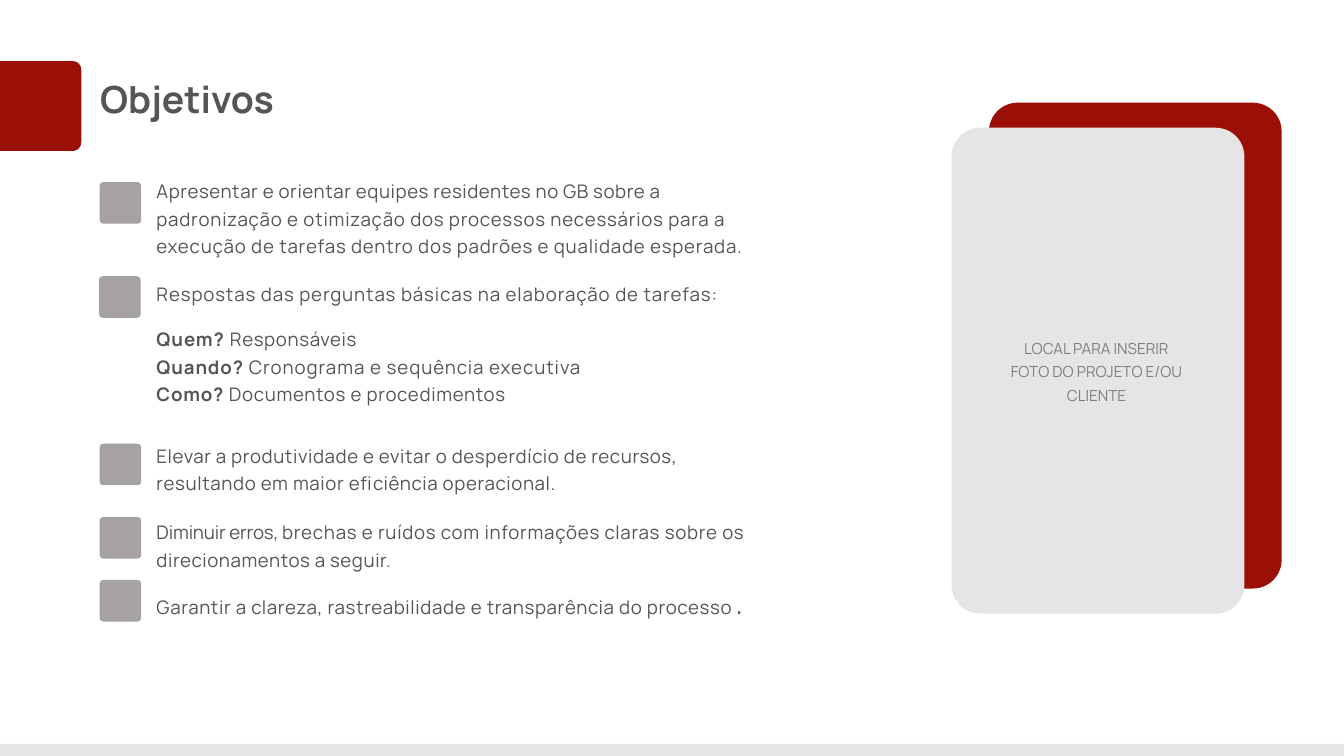
from math import cos, radians, sin

from lxml.etree import SubElement
from pptx import Presentation
from pptx.dml.color import RGBColor
from pptx.enum.shapes import MSO_SHAPE
from pptx.enum.text import MSO_ANCHOR, MSO_AUTO_SIZE, PP_ALIGN
from pptx.oxml.ns import qn
from pptx.util import Pt

PX = 9144
SLIDE_W, SLIDE_H = 2199, 1237
FONT = "Manrope"
COLORS = {"red": "9B1006", "tile": "A6A2A3", "card": "E5E5E5", "text": "565555", "caption": "808080"}

TILE = 68
TILE_SPOTS = [(0, 0), (-1, 154), (0, 428), (0, 548), (0, 651)]

# Each paragraph is (line spacing, space before, lines); each run is (text, tracking, bold, font).
CONTEXT = [
    (1.22, 0, [
        [("Apresentar e orientar equipes residentes no GB sobre a", 0.7)],
        [("padronização e otimização dos processos necessários para a", 0.95)],
        [("execução de tarefas dentro dos padrões e qualidade esperada.", 0.95)],
    ]),
    (1, 29.8, [[("Respostas das perguntas básicas na elaboração de tarefas:", 1.07)]]),
]
QUESTIONS = [
    (1, 0, [[("Quem? ", 1.2, True), ("Responsáveis", 0.8)]]),
    (1, 5.7, [[("Quando? ", 1.1, True), ("Cronograma e sequência executiva", 1.15)]]),
    (1, 5.8, [[("Como? ", 1, True), ("Documentos e procedimentos", 0.85)]]),
]
RESULTS = [
    (1.22, 0, [
        [("Elevar a produtividade e evitar o desperdício de recursos,", 0.73)],
        [("resultando em maior eficiência operacional.", 0.8)],
    ]),
    (1.22, 25.4, [
        [("Diminuir erros, ", -0.15), ("brechas e ruídos com informações claras sobre os", 0.9)],
        [("direcionamentos a seguir.", 0.74)],
    ]),
    (1, 29.7, [[
        ("Garantir a clareza, rastreabilidade e transparência do processo", 0.8),
        (".", 0.5, False, "DejaVu Sans Mono"),
    ]]),
]
CAPTION = [(1.27, 0, [[("LOCAL PARA INSERIR", 0)], [("FOTO DO PROJETO E/OU", 0)], [("CLIENTE", 0)]])]


def paint(shape, color):
    """Give a shape a flat fill with no line or shadow."""
    shape.fill.solid()
    shape.fill.fore_color.rgb = RGBColor.from_string(COLORS[color])
    shape.line.fill.background()
    shape.shadow.inherit = False


def add_panel(slide, left, top, width, height, color, radius=0):
    """Add a rectangle, rounded when it has a radius."""
    kind = MSO_SHAPE.ROUNDED_RECTANGLE if radius else MSO_SHAPE.RECTANGLE
    panel = slide.shapes.add_shape(kind, left * PX, top * PX, width * PX, height * PX)
    if radius:
        panel.adjustments[0] = radius / min(width, height)
    paint(panel, color)
    return panel


def style_run(run, size, color, tracking=0, bold=False, font=FONT):
    """Set the character format of a run."""
    run.font.size = Pt(size)
    run.font.name = font
    run.font.bold = bold
    run.font.color.rgb = RGBColor.from_string(COLORS[color])
    run._r.get_or_add_rPr().set("spc", str(round(tracking * 100)))


def clear_margins(frame):
    """Make a text frame wrap from the top edge with no margins."""
    frame.margin_left = frame.margin_top = frame.margin_right = frame.margin_bottom = 0
    frame.word_wrap = True
    frame.auto_size = MSO_AUTO_SIZE.NONE
    frame.vertical_anchor = MSO_ANCHOR.TOP


def add_copy(slide, left, top, width, height, paragraphs, size=22, color="text", align=PP_ALIGN.LEFT):
    """Add a text box from paragraphs of lines of runs."""
    frame = slide.shapes.add_textbox(left * PX, top * PX, width * PX, height * PX).text_frame
    clear_margins(frame)
    for index, (spacing, before, lines) in enumerate(paragraphs):
        paragraph = frame.add_paragraph() if index else frame.paragraphs[0]
        paragraph.alignment = align
        paragraph.line_spacing = spacing
        paragraph.space_before = Pt(before)
        for number, line in enumerate(lines):
            if number:
                paragraph.add_line_break()
            for text, *style in line:
                run = paragraph.add_run()
                run.text = text
                style_run(run, size, color, *style)


def add_footer(slide, left, top, width, height):
    """Draw the translucent strip at the foot."""
    strip = add_panel(slide, left, top, width, height, "tile")
    tint = strip.fill._xPr.find(qn("a:solidFill"))[0]
    SubElement(tint, qn("a:alpha")).set("val", "25000")


def add_heading(slide, left, top, width, height):
    """Draw the red tab and the title beside it."""
    radius = 14
    corners = [(top + radius, -90), (top + height - radius, 0)]
    edge = [
        (left + width - radius + radius * cos(radians(start + step)),
         middle + radius * sin(radians(start + step)))
        for middle, start in corners for step in range(0, 91, 15)
    ]
    builder = slide.shapes.build_freeform(left * PX, top * PX, scale=1)
    points = edge + [(left, top + height)]
    builder.add_line_segments([(round(x * PX), round(y * PX)) for x, y in points])
    paint(builder.convert_to_shape(), "red")

    title = slide.shapes.title
    title.left, title.top = (left + width + 31) * PX, (top + 24) * PX
    title.width, title.height = 424 * PX, 149 * PX
    clear_margins(title.text_frame)
    paragraph = title.text_frame.paragraphs[0]
    paragraph.alignment = PP_ALIGN.LEFT
    run = paragraph.add_run()
    run.text = "Objetivos"
    style_run(run, 44, "text", bold=True)


def add_objectives(slide, left, top):
    """Draw the grey tiles and the objectives beside them."""
    for across, down in TILE_SPOTS:
        add_panel(slide, left + across, top + down, TILE, TILE, "tile", 6)
    text_left = left + 93
    add_copy(slide, text_left, top - 11, 1043, 215, CONTEXT)
    add_copy(slide, text_left, top + 239, 850, 128, QUESTIONS)
    add_copy(slide, text_left, top + 422, 1059, 296, RESULTS)


def add_photo_area(slide, left, top, width, height):
    """Draw the photo card over its red backing card."""
    add_panel(slide, left + 61, top - 41, width, height, "red", 47)
    add_panel(slide, left, top, width, height, "card", 47)
    add_copy(slide, left + 88, top + 338, 298, 118, CAPTION, 18, "caption", PP_ALIGN.CENTER)


def main():
    """Build the objectives slide."""
    deck = Presentation()
    deck.slide_width, deck.slide_height = SLIDE_W * PX, SLIDE_H * PX
    slide = deck.slides.add_slide(deck.slide_layouts[5])
    add_footer(slide, 0, SLIDE_H - 20, SLIDE_W, 20)
    add_heading(slide, 0, 100, 133, 147)
    add_objectives(slide, 163, 298)
    add_photo_area(slide, 1557, 209, 479, 795)
    deck.save("out.pptx")


if __name__ == "__main__":
    main()
